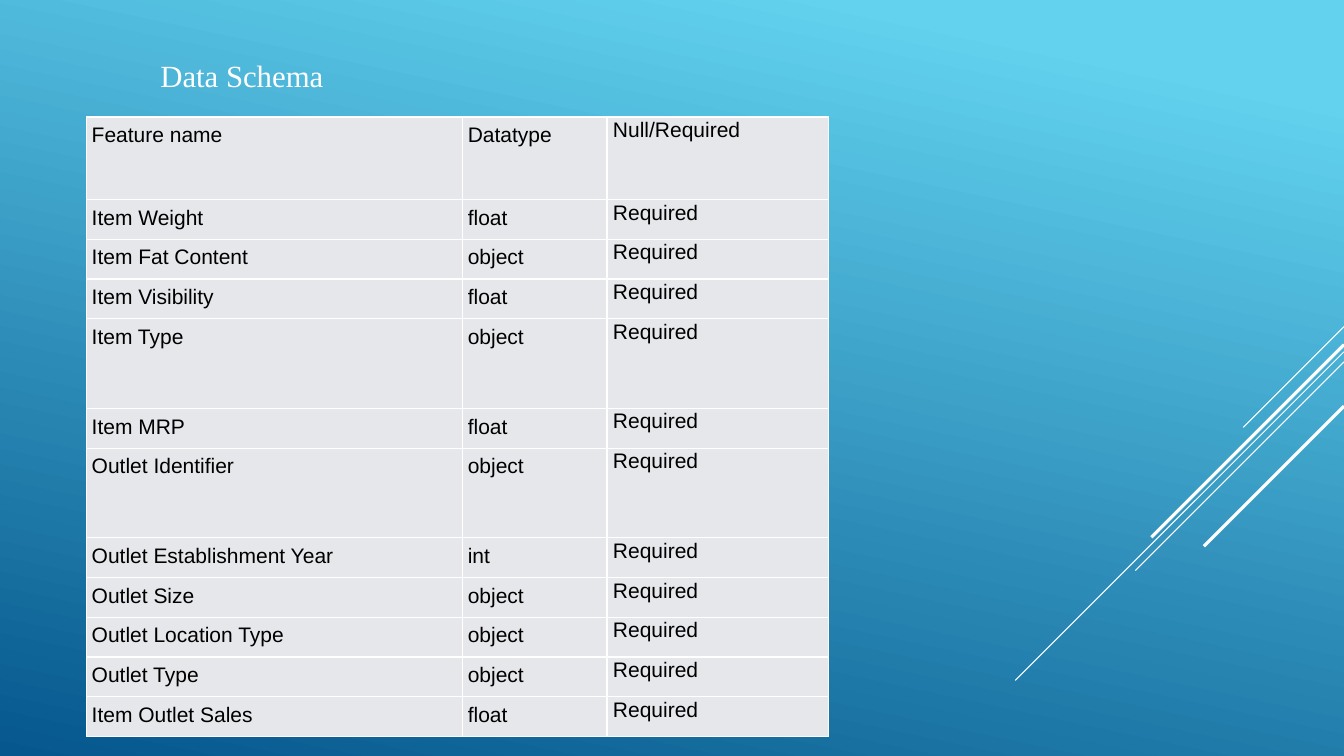
from typing import NamedTuple

from lxml import etree
from pptx import Presentation, util as u
from pptx.dml.color import RGBColor
from pptx.enum import shapes, text
from pptx.oxml import ns

WHITE = RGBColor(0xFF, 0xFF, 0xFF)
BLACK = RGBColor(0x00, 0x00, 0x00)
CELL_GREY = RGBColor(0xE6, 0xE7, 0xEA)
SKY = RGBColor(0x62, 0xD2, 0xEF)
DEEP_BLUE = RGBColor(0x05, 0x57, 0x8D)

SLIDE_W, SLIDE_H = 13.33, 7.5
TABLE_X, TABLE_Y, TABLE_H = 0.86, 1.16, 6.15
COL_WIDTHS = (3.73, 1.43, 2.2)
HEADER = ("Feature name", "Datatype", "Null/Required")
HEADER_H, TALL_H = 0.82, 0.89


class Feature(NamedTuple):
    name: str
    datatype: str
    tall: bool = False


class Stripe(NamedTuple):
    """A diagonal running down and left from the right edge."""
    top: float
    run: float
    weight: float


FEATURES = (
    Feature("Item Weight", "float"),
    Feature("Item Fat Content", "object"),
    Feature("Item Visibility", "float"),
    Feature("Item Type", "object", tall=True),
    Feature("Item MRP", "float"),
    Feature("Outlet Identifier", "object", tall=True),
    Feature("Outlet Establishment Year", "int"),
    Feature("Outlet Size", "object"),
    Feature("Outlet Location Type", "object"),
    Feature("Outlet Type", "object"),
    Feature("Item Outlet Sales", "float"),
)
STRIPES = (
    Stripe(3.24, 1.0, 0.75),
    Stripe(3.49, 3.26, 0.75),
    Stripe(3.59, 2.07, 0.75),
    Stripe(3.42, 1.91, 2.25),
    Stripe(4.03, 1.39, 2.25),
)


def paint_background(s) -> None:
    fill = s.background.fill
    fill.gradient()
    fill.gradient_angle = 258
    for stop, color, position in zip(fill.gradient_stops, (SKY, DEEP_BLUE), (0.1, 1)):
        stop.color.rgb = color
        stop.position = position


def add_stripe(s, stripe: Stripe) -> None:
    line = s.shapes.add_connector(
        shapes.MSO_CONNECTOR.STRAIGHT,
        u.Inches(SLIDE_W), u.Inches(stripe.top),
        u.Inches(SLIDE_W - stripe.run), u.Inches(stripe.top + stripe.run))
    line.line.color.rgb = WHITE
    line.line.width = u.Pt(stripe.weight)
    etree.SubElement(line._element.spPr, ns.qn("a:effectLst"))


def add_borders(cell) -> None:
    tc_pr = cell._tc.get_or_add_tcPr()
    for side in ("lnL", "lnR", "lnT", "lnB"):
        ln = etree.SubElement(tc_pr, ns.qn(f"a:{side}"), w=str(u.Pt(1)))
        fill = etree.SubElement(ln, ns.qn("a:solidFill"))
        etree.SubElement(fill, ns.qn("a:srgbClr"), val=str(WHITE))


def fill_cell(cell, words: str, side: float, top: float) -> None:
    add_borders(cell)
    cell.fill.solid()
    cell.fill.fore_color.rgb = CELL_GREY
    cell.margin_left = cell.margin_right = u.Inches(side)
    cell.margin_top = cell.margin_bottom = u.Inches(top)
    p = cell.text_frame.paragraphs[0]
    p.text = words
    p.alignment = text.PP_ALIGN.JUSTIFY
    p.line_spacing = 1.07
    font = p.runs[0].font
    font.name, font.size = "Arial", u.Pt(15)
    font.color.rgb = BLACK


def add_schema(s) -> None:
    tall_count = sum(f.tall for f in FEATURES)
    row_h = (TABLE_H - HEADER_H - tall_count * TALL_H) / (len(FEATURES) - tall_count)
    heights = [HEADER_H] + [TALL_H if f.tall else row_h for f in FEATURES]
    rows = [HEADER] + [(f.name, f.datatype, "Required") for f in FEATURES]

    table = s.shapes.add_table(
        len(rows), len(HEADER), u.Inches(TABLE_X), u.Inches(TABLE_Y),
        u.Inches(sum(COL_WIDTHS)), u.Inches(TABLE_H)).table
    table.first_row = table.horz_banding = False
    for column, width in zip(table.columns, COL_WIDTHS):
        column.width = u.Inches(width)
    for i, (words, height) in enumerate(zip(rows, heights)):
        table.rows[i].height = u.Inches(height)
        for j, word in enumerate(words):
            side, top = (0.06, 0) if j == 2 else (0.05, 0.05)
            fill_cell(table.cell(i, j), word, side, top)


def set_title(s) -> None:
    title = s.shapes.title
    title.left, title.top = u.Inches(1.49), u.Inches(0.4)
    title.width, title.height = u.Inches(5), u.Inches(0.7)
    tf = title.text_frame
    tf.text = "Data Schema"
    tf.vertical_anchor = text.MSO_ANCHOR.MIDDLE
    p = tf.paragraphs[0]
    p.alignment = text.PP_ALIGN.LEFT
    font = p.runs[0].font
    font.name, font.size = "Times New Roman", u.Pt(22)
    font.color.rgb = WHITE


def main() -> None:
    prs = Presentation()
    prs.slide_width, prs.slide_height = u.Inches(SLIDE_W), u.Inches(SLIDE_H)
    s = prs.slides.add_slide(prs.slide_layouts[5])
    paint_background(s)
    for stripe in STRIPES:
        add_stripe(s, stripe)
    add_schema(s)
    set_title(s)
    prs.save("out.pptx")


if __name__ == "__main__":
    main()
